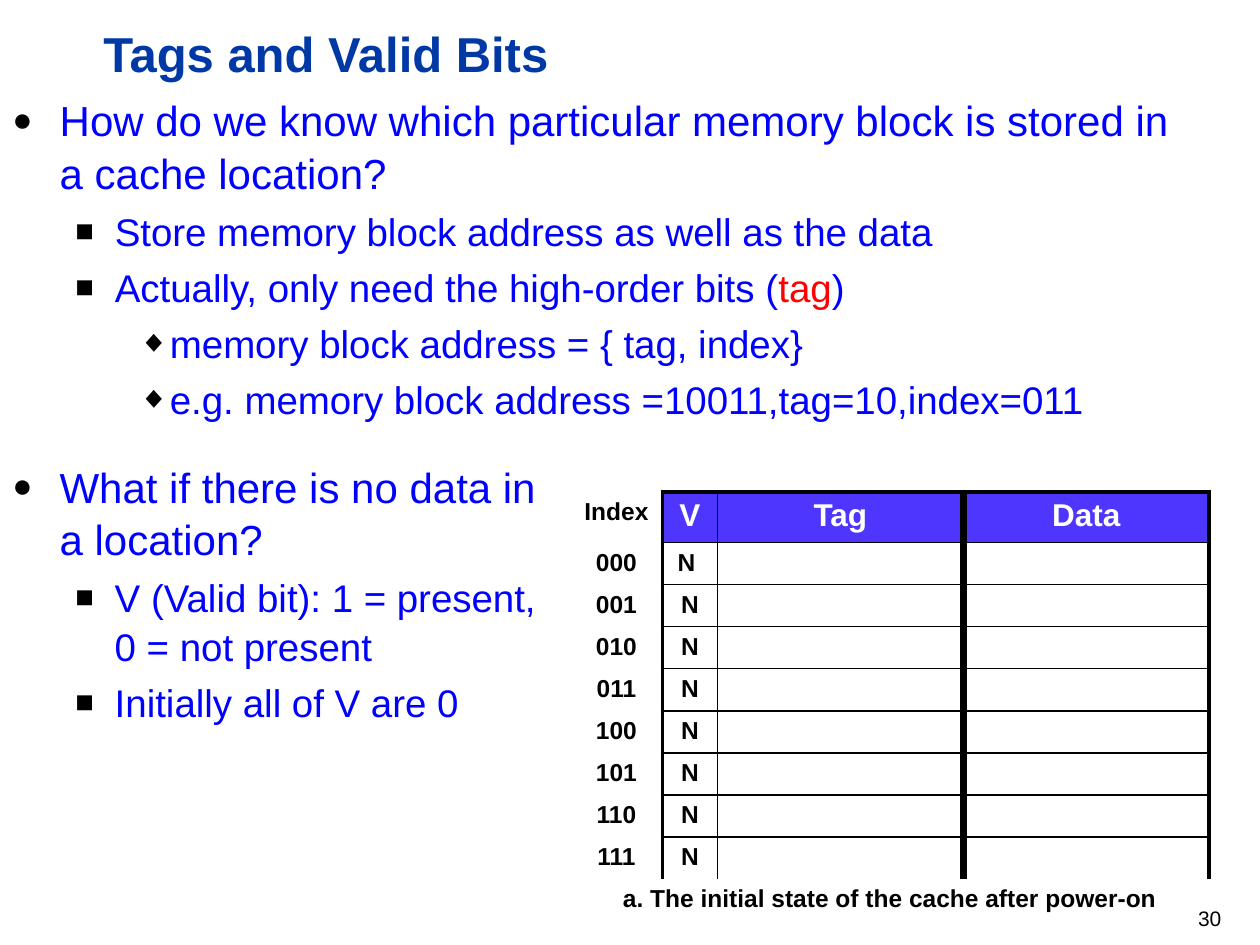
from lxml.etree import SubElement
from pptx import Presentation
from pptx.dml.color import RGBColor
from pptx.enum.text import MSO_ANCHOR, PP_ALIGN
from pptx.oxml.ns import qn
from pptx.util import Pt

FONT = "Arial"
BLACK = RGBColor(0x00, 0x00, 0x00)
WHITE = RGBColor(0xFF, 0xFF, 0xFF)
RED = RGBColor(0xFF, 0x00, 0x00)
BLUE = RGBColor(0x00, 0x00, 0xFF)
TITLE_BLUE = RGBColor(0x00, 0x39, 0xA6)
HEADER_FILL = RGBColor(0x4E, 0x36, 0xFE)

LEVELS = [
    {"bullet": "●", "margin": 27, "hanging": 27, "size": 24},
    {"bullet": "■", "margin": 58.5, "hanging": 22.5, "size": 22},
    {"bullet": "◆", "margin": 90, "hanging": 18, "size": 22},
]
KNOWING_BLOCK = [
    (0, [("How do we know which particular memory block is stored in a cache location?", BLUE)]),
    (1, [("Store memory block address as well as the data", BLUE)]),
    (1, [("Actually, only need the high-order bits (", BLUE), ("tag", RED), (")", BLUE)]),
    (2, [("memory block address = { tag, index}", BLUE)]),
    (2, [("e.g. memory block address =10011,tag=10,index=011", BLUE)]),
]
NO_DATA = [
    (0, [("What if there is no data in a location?", BLUE)]),
    (1, [("V (Valid bit): 1 = present, 0 = not present", BLUE)]),
    (1, [("Initially all of V are 0", BLUE)]),
]
HEADINGS = ["Index", "V", "Tag", "Data"]
CAPTION = "a. The initial state of the cache after power-on"
COLUMN_WIDTHS = [52.5, 31.5, 140.5, 140.5]
COLUMN_EDGES = [0, 2.25, 1, 4.5, 2.25]
INDEX_BITS = 3


def add_text(paragraph, text, size, color=BLACK, bold=False, align=PP_ALIGN.LEFT):
    paragraph.alignment = align
    run = paragraph.add_run()
    run.text = text
    run.font.name = FONT
    run.font.size = Pt(size)
    run.font.bold = bold
    run.font.color.rgb = color


def add_box(slide, left, top, width, height, anchor=MSO_ANCHOR.TOP):
    box = slide.shapes.add_textbox(Pt(left), Pt(top), Pt(width), Pt(height))
    frame = box.text_frame
    frame.word_wrap = True
    frame.vertical_anchor = anchor
    return frame


def set_bullet(paragraph, level):
    properties = paragraph._p.get_or_add_pPr()
    properties.set("marL", str(Pt(level["margin"])))
    properties.set("indent", str(-Pt(level["hanging"])))
    color = SubElement(properties, qn("a:buClr"))
    SubElement(color, qn("a:srgbClr"), val=str(BLACK))
    SubElement(properties, qn("a:buSzPct"), val="80000")
    SubElement(properties, qn("a:buFont"), typeface=FONT)
    SubElement(properties, qn("a:buChar"), char=level["bullet"])


def add_bullets(frame, items):
    for number, (depth, runs) in enumerate(items):
        level = LEVELS[depth]
        paragraph = frame.add_paragraph() if number else frame.paragraphs[0]
        set_bullet(paragraph, level)
        paragraph.level = depth
        paragraph.line_spacing = 1.05
        if number:
            paragraph.space_before = Pt(level["size"] * 0.2)
        for text, color in runs:
            add_text(paragraph, text, level["size"], color=color)


def set_borders(cell, left=0, right=0, top=0, bottom=0):
    properties = cell._tc.get_or_add_tcPr()
    for side, width in (("L", left), ("R", right), ("T", top), ("B", bottom)):
        line = SubElement(properties, qn(f"a:ln{side}"), w=str(Pt(width)))
        if width:
            fill = SubElement(line, qn("a:solidFill"))
            SubElement(fill, qn("a:srgbClr"), val=str(BLACK))
        else:
            SubElement(line, qn("a:noFill"))


def fill_cell(cell, text, size=14, color=BLACK, fill=None, **borders):
    set_borders(cell, **borders)
    if fill is None:
        cell.fill.background()
    else:
        cell.fill.solid()
        cell.fill.fore_color.rgb = fill
    paragraph = cell.text_frame.paragraphs[0]
    if text:
        add_text(paragraph, text, size, color=color, bold=True, align=PP_ALIGN.CENTER)
    else:
        paragraph.font.size = Pt(size)


def add_cache_table(slide):
    indexes = [format(index, f"0{INDEX_BITS}b") for index in range(2 ** INDEX_BITS)]
    rows = [HEADINGS] + [[index, "N", "", ""] for index in indexes]
    rows[1][1] = "N "
    caption_row = len(rows)
    frame = slide.shapes.add_table(
        caption_row + 1, len(HEADINGS), Pt(326), Pt(281.2), Pt(365), Pt(234))
    table = frame.table
    table.first_row = False
    table.horz_banding = False
    for column, width in zip(table.columns, COLUMN_WIDTHS):
        column.width = Pt(width)
    for number, row in enumerate(table.rows):
        row.height = Pt(22.9 if number else 28)

    for row, texts in enumerate(rows):
        for column, text in enumerate(texts):
            borders = {"left": COLUMN_EDGES[column], "right": COLUMN_EDGES[column + 1]}
            style = {}
            if column:
                borders["top"] = 1 if row else 2.25
                borders["bottom"] = 1 if row < caption_row - 1 else 0
                if row == 0:
                    style = {"size": 18, "color": WHITE, "fill": HEADER_FILL}
            fill_cell(table.cell(row, column), text, **style, **borders)

    caption = table.cell(caption_row, 0)
    caption.merge(table.cell(caption_row, len(HEADINGS) - 1))
    fill_cell(caption, CAPTION)
    for column in range(1, len(HEADINGS)):
        fill_cell(table.cell(caption_row, column), "")


def main():
    presentation = Presentation()
    presentation.slide_width = Pt(720)
    presentation.slide_height = Pt(540)
    slide = presentation.slides.add_slide(presentation.slide_layouts[6])

    title = add_box(slide, 52, 9.4, 650, 41, anchor=MSO_ANCHOR.BOTTOM)
    add_text(title.paragraphs[0], "Tags and Valid Bits", 28, color=TITLE_BLUE, bold=True)
    add_bullets(add_box(slide, 0, 49, 683, 235), KNOWING_BLOCK)
    number = add_box(slide, 543, 510, 162, 29, anchor=MSO_ANCHOR.MIDDLE)
    add_text(number.paragraphs[0], "30", 12, align=PP_ALIGN.RIGHT)
    add_cache_table(slide)
    add_bullets(add_box(slide, 0, 258.5, 329, 156), NO_DATA)

    presentation.save("out.pptx")


if __name__ == "__main__":
    main()
